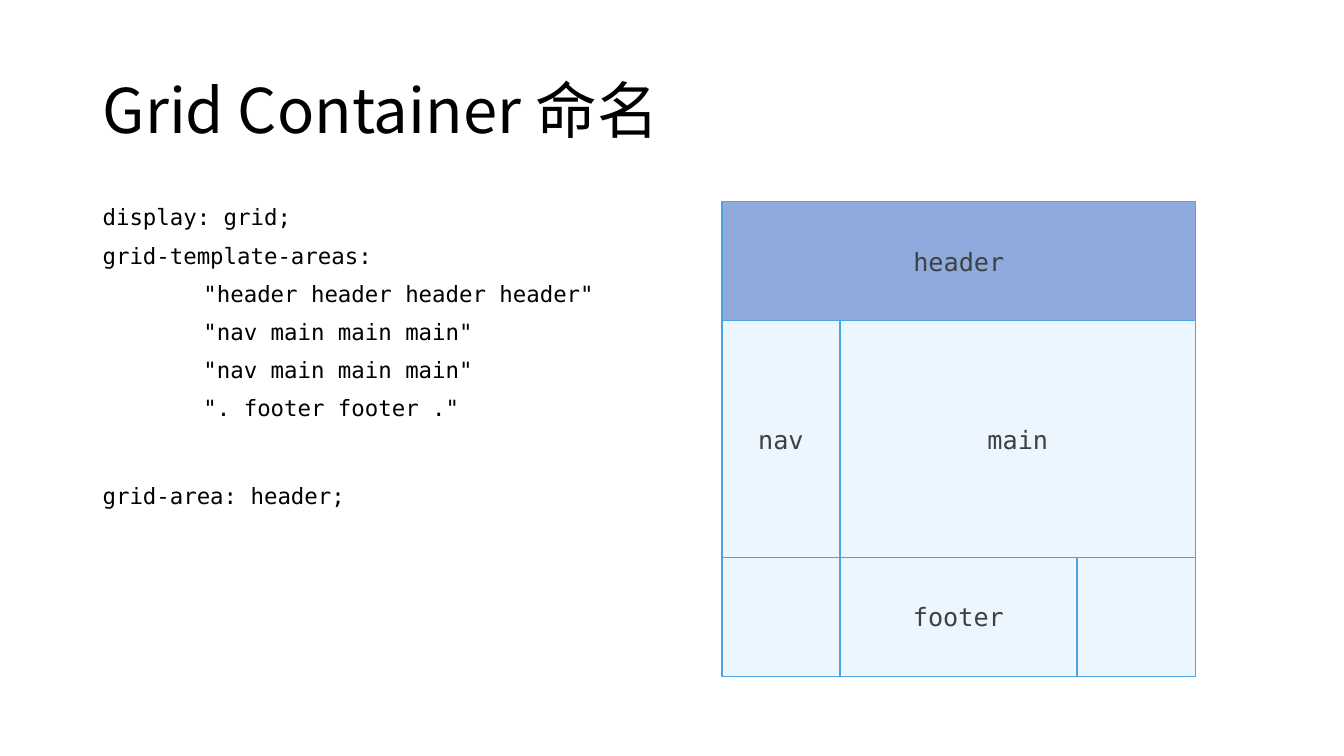
import pptx
import pptx.dml.color
import pptx.enum.shapes
import pptx.enum.text
import pptx.util
from lxml import etree
from pptx.oxml.ns import qn

PX = 9144  # 100 px to the inch
TITLE_FONT = "Noto Sans CJK SC"
CODE_FONT = "DejaVu Sans Mono"
BLACK, GREY = "000000", "404040"
HEADER_FILL, AREA_FILL, BORDER = "8FAADC", "EBF6FE", "4BA3E3"
CODE_INDENT = 100

# Grid frame: left, top, width, height, split into 4 by 4 cells
GRID_LEFT, GRID_TOP, GRID_WIDTH, GRID_HEIGHT = 716, 200, 470, 471
CELLS = 4

# Areas: label, column, row, columns spanned, rows spanned, fill
AREAS = [
    ("header", 0, 0, 4, 1, HEADER_FILL),
    ("nav", 0, 1, 1, 2, AREA_FILL),
    ("", 0, 3, 1, 1, AREA_FILL),
    ("main", 1, 1, 3, 2, AREA_FILL),
    ("footer", 1, 3, 2, 1, AREA_FILL),
    ("", 3, 3, 1, 1, AREA_FILL),
]

TEMPLATE_CODE = """display: grid;
grid-template-areas:
\t"header header header header"
\t"nav main main main"
\t"nav main main main"
\t". footer footer ."
"""


def px(*lengths):
    return [pptx.util.Emu(length * PX) for length in lengths]


def color(value):
    return pptx.dml.color.RGBColor.from_string(value)


def set_tab_stop(paragraph, position):
    stops = etree.SubElement(paragraph._p.get_or_add_pPr(), qn("a:tabLst"))
    etree.SubElement(stops, qn("a:tab"), pos=str(position * PX), algn="l")


def write(frame, text, size=16, font=CODE_FONT, ink=BLACK, align="LEFT",
          anchor="TOP", spacing=1.0, before=0):
    frame.word_wrap = True
    frame.vertical_anchor = pptx.enum.text.MSO_ANCHOR[anchor]
    for index, line in enumerate(text.splitlines()):
        paragraph = frame.add_paragraph() if index else frame.paragraphs[0]
        paragraph.alignment = pptx.enum.text.PP_ALIGN[align]
        paragraph.line_spacing = spacing
        paragraph.space_before = pptx.util.Pt(before)
        if line.startswith("\t"):
            set_tab_stop(paragraph, CODE_INDENT)
        run = paragraph.add_run()
        run.text = line
        run.font.size = pptx.util.Pt(size)
        run.font.name = font
        run.font.color.rgb = color(ink)
        # East Asian typeface follows the Latin one
        etree.SubElement(run.font._element, qn("a:ea"), typeface=font)


def add_text(slide, box, text, **text_format):
    write(slide.shapes.add_textbox(*px(*box)).text_frame, text, **text_format)


def grid_x(column):
    return GRID_LEFT + GRID_WIDTH * column // CELLS


def grid_y(row):
    return GRID_TOP + round(GRID_HEIGHT * row / CELLS)


def add_area(slide, label, column, row, columns, rows, fill):
    left, top = grid_x(column), grid_y(row)
    width, height = grid_x(column + columns) - left, grid_y(row + rows) - top
    area = slide.shapes.add_shape(
        pptx.enum.shapes.MSO_SHAPE.RECTANGLE, *px(left, top, width, height))
    area.shadow.inherit = False
    area.fill.solid()
    area.fill.fore_color.rgb = color(fill)
    area.line.color.rgb = color(BORDER)
    area.line.width = pptx.util.Pt(1)
    write(area.text_frame, label, size=18, ink=GREY, align="CENTER",
          anchor="MIDDLE")


def main():
    deck = pptx.Presentation()
    deck.slide_width, deck.slide_height = px(1333, 750)
    slide = deck.slides.add_slide(deck.slide_layouts[6])

    # Title
    add_text(slide, (92, 40, 1150, 145), "Grid Container 命名", size=44,
             font=TITLE_FONT, anchor="MIDDLE", spacing=0.9)

    # Code
    add_text(slide, (92, 200, 624, 233), TEMPLATE_CODE, spacing=0.9, before=10)
    add_text(slide, (92, 473, 624, 37), "grid-area: header;")

    # Grid diagram
    for area in AREAS:
        add_area(slide, *area)

    deck.save("out.pptx")


if __name__ == "__main__":
    main()
